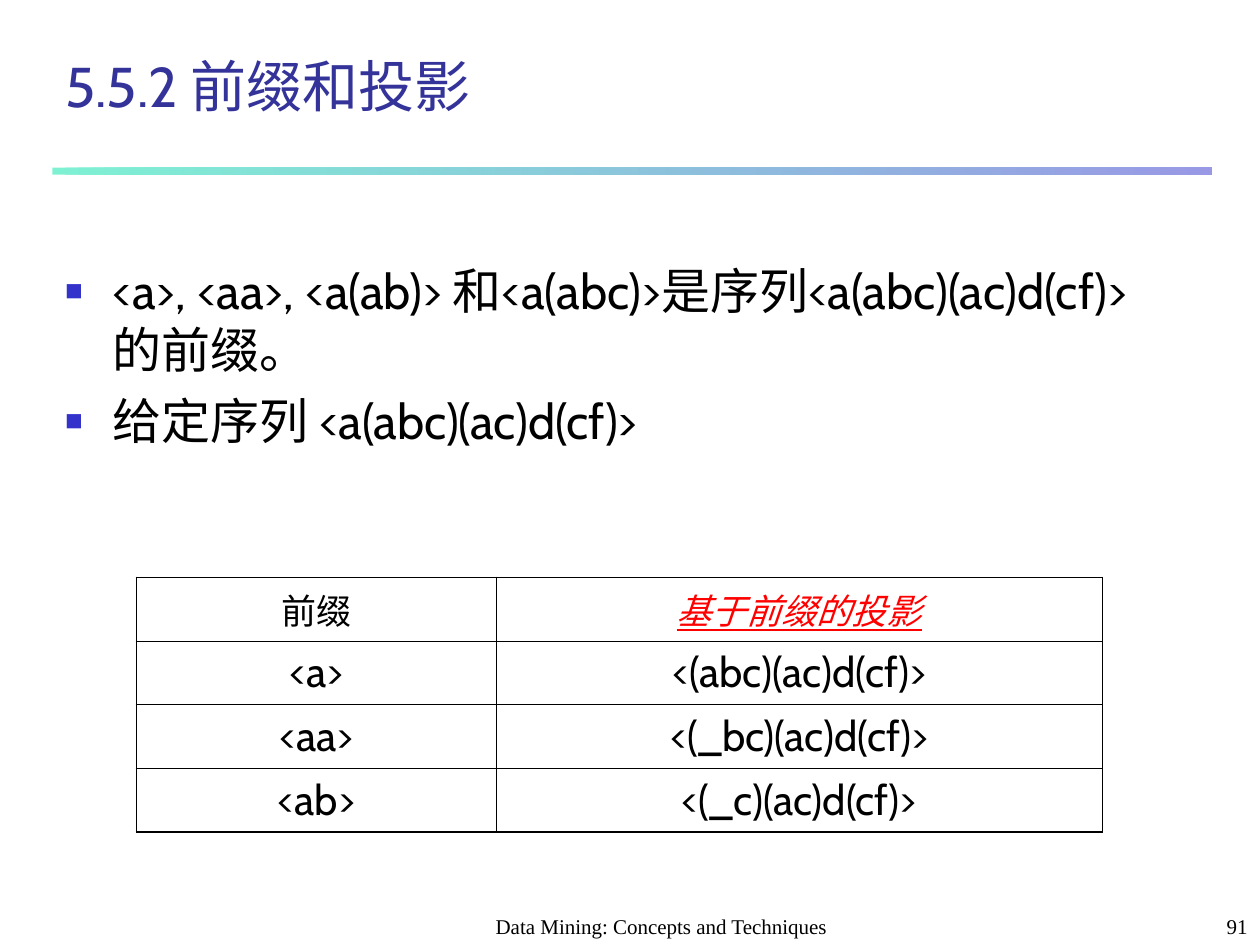
"""Build a slide on sequence prefixes and their projections."""
from dataclasses import dataclass

import pptx
from pptx import oxml
from pptx import util as u
from pptx.dml.color import RGBColor
from pptx.enum import shapes, text
from pptx.oxml import ns

BLACK = RGBColor(0, 0, 0)
RED = RGBColor(0xFF, 0, 0)
NAVY = RGBColor(0x33, 0x33, 0x99)
BLUE = RGBColor(0x33, 0x33, 0xCC)
GREEN = RGBColor(0, 0xE4, 0xA8)
BODY_FONT = "Cabin"
FOOTER_FONT = "Times New Roman"
OUTER_LINE, INNER_LINE = 1.08, 0.45


@dataclass(frozen=True)
class Area:
    left: float
    top: float
    width: float
    height: float

    def lengths(self) -> list[u.Length]:
        return [u.Pt(n) for n in (self.left, self.top, self.width, self.height)]


@dataclass(frozen=True)
class Style:
    size: float
    color: RGBColor = BLACK
    font: str = BODY_FONT
    emphasis: bool = False


@dataclass(frozen=True)
class Footer:
    words: str
    area: Area
    align: text.PP_ALIGN


BULLETS = (
    "<a>, <aa>, <a(ab)> 和<a(abc)>是序列<a(abc)(ac)d(cf)>的前缀。",
    "给定序列 <a(abc)(ac)d(cf)>",
)
PROJECTIONS = (
    ("前缀", "基于前缀的投影"),
    ("<a>", "<(abc)(ac)d(cf)>"),
    ("<aa>", "<(_bc)(ac)d(cf)>"),
    ("<ab>", "<(_c)(ac)d(cf)>"),
)
COLUMN_WIDTHS = (205.5, 346.5)
ROW_HEIGHTS = (32, 36, 36, 36)
FOOTERS = (
    Footer("Data Mining: Concepts and Techniques",
           Area(264, 510, 228, 30), text.PP_ALIGN.CENTER),
    Footer("91", Area(570, 510, 150, 30), text.PP_ALIGN.RIGHT),
)


def add_span(para, words: str, style: Style) -> None:
    span = para.add_run()
    span.text = words
    font = span.font
    font.name, font.size = style.font, u.Pt(style.size)
    font.color.rgb = style.color
    if style.emphasis:
        font.italic = font.underline = True


def place(box, area: Area) -> None:
    box.left, box.top, box.width, box.height = area.lengths()


def add_rule(page, area: Area) -> None:
    rule = page.shapes.add_shape(shapes.MSO_SHAPE.RECTANGLE, *area.lengths())
    rule.shadow.inherit = False
    rule.line.fill.background()
    rule.fill.gradient()
    rule.fill.gradient_angle = 0
    for stop, color, position in zip(rule.fill.gradient_stops, (GREEN, BLUE), (0, 1)):
        stop.color.rgb, stop.position = color, position
    for color in rule._element.spPr.iter(ns.qn("a:srgbClr")):
        color.append(oxml.parse_xml(f'<a:alpha {ns.nsdecls("a")} val="50000"/>'))


def fill_title(title, words: str, area: Area) -> None:
    place(title, area)
    frame = title.text_frame
    frame.auto_size = text.MSO_AUTO_SIZE.NONE
    frame.vertical_anchor = text.MSO_ANCHOR.BOTTOM
    para = frame.paragraphs[0]
    para.alignment = text.PP_ALIGN.LEFT
    add_span(para, words, Style(32, NAVY))


def add_bullet(para) -> None:
    properties = para._p.get_or_add_pPr()
    indent = u.Pt(27)
    properties.set("marL", str(indent))
    properties.set("indent", str(-indent))
    for markup in (
        f'<a:buClr {{}}><a:srgbClr val="{BLUE}"/></a:buClr>',
        '<a:buSzPct {} val="60000"/>',
        '<a:buChar {} char="■"/>',
    ):
        properties.append(oxml.parse_xml(markup.format(ns.nsdecls("a"))))


def fill_body(body, lines: tuple[str, ...], area: Area) -> None:
    place(body, area)
    frame = body.text_frame
    frame.auto_size = text.MSO_AUTO_SIZE.NONE
    for index, line in enumerate(lines):
        para = frame.add_paragraph() if index else frame.paragraphs[0]
        para.space_before = u.Pt(7 if index else 0)
        add_bullet(para)
        add_span(para, line, Style(28))


def set_borders(cell, widths: dict[str, float]) -> None:
    properties = cell._tc.get_or_add_tcPr()
    for side, width in widths.items():
        properties.append(oxml.parse_xml(
            f'<a:ln{side} {ns.nsdecls("a")} w="{u.Pt(width)}"><a:solidFill>'
            f'<a:srgbClr val="{BLACK}"/></a:solidFill></a:ln{side}>'))


def add_projection_table(page, left: float, top: float) -> None:
    area = Area(left, top, sum(COLUMN_WIDTHS), sum(ROW_HEIGHTS))
    last_row, last_column = len(ROW_HEIGHTS) - 1, len(COLUMN_WIDTHS) - 1
    table = page.shapes.add_table(
        len(ROW_HEIGHTS), len(COLUMN_WIDTHS), *area.lengths()).table
    table.first_row = table.horz_banding = False
    for column, width in zip(table.columns, COLUMN_WIDTHS):
        column.width = u.Pt(width)
    for r, (row, height) in enumerate(zip(table.rows, ROW_HEIGHTS)):
        row.height = u.Pt(height)
        for c, cell in enumerate(row.cells):
            edges = {"L": c == 0, "R": c == last_column,
                     "T": r == 0, "B": r == last_row}
            set_borders(cell, {side: OUTER_LINE if outer else INNER_LINE
                               for side, outer in edges.items()})
            cell.fill.background()
            para = cell.text_frame.paragraphs[0]
            para.alignment = text.PP_ALIGN.CENTER
            accent = r == 0 and c == last_column
            add_span(para, PROJECTIONS[r][c],
                     Style(24 if r else 20, RED if accent else BLACK, emphasis=accent))


def add_footer(page, footer: Footer) -> None:
    frame = page.shapes.add_textbox(*footer.area.lengths()).text_frame
    frame.word_wrap = True
    frame.vertical_anchor = text.MSO_ANCHOR.BOTTOM
    para = frame.paragraphs[0]
    para.alignment = footer.align
    add_span(para, footer.words, Style(12, font=FOOTER_FONT))


def main() -> None:
    deck = pptx.Presentation()
    deck.slide_width, deck.slide_height = u.Pt(720), u.Pt(540)
    page = deck.slides.add_slide(deck.slide_layouts[1])
    add_rule(page, Area(30, 95.75, 662.5, 4))
    fill_title(page.shapes.title, "5.5.2 前缀和投影", Area(30, 34, 561, 37.5))
    fill_body(page.placeholders[1], BULLETS, Area(30, 145.5, 633.5, 150))
    add_projection_table(page, 78, 330)
    for footer in FOOTERS:
        add_footer(page, footer)
    deck.save("out.pptx")


if __name__ == "__main__":
    main()
